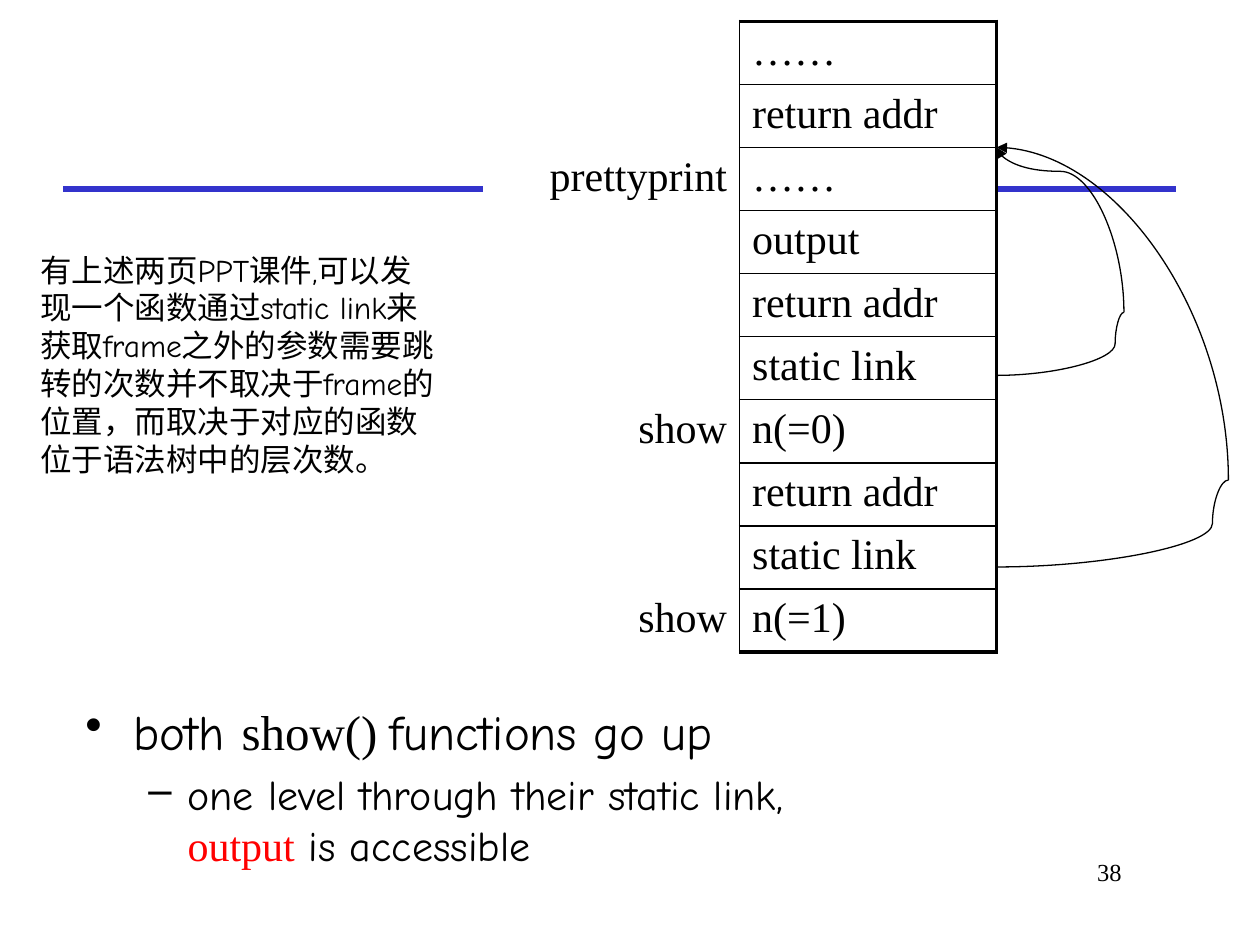
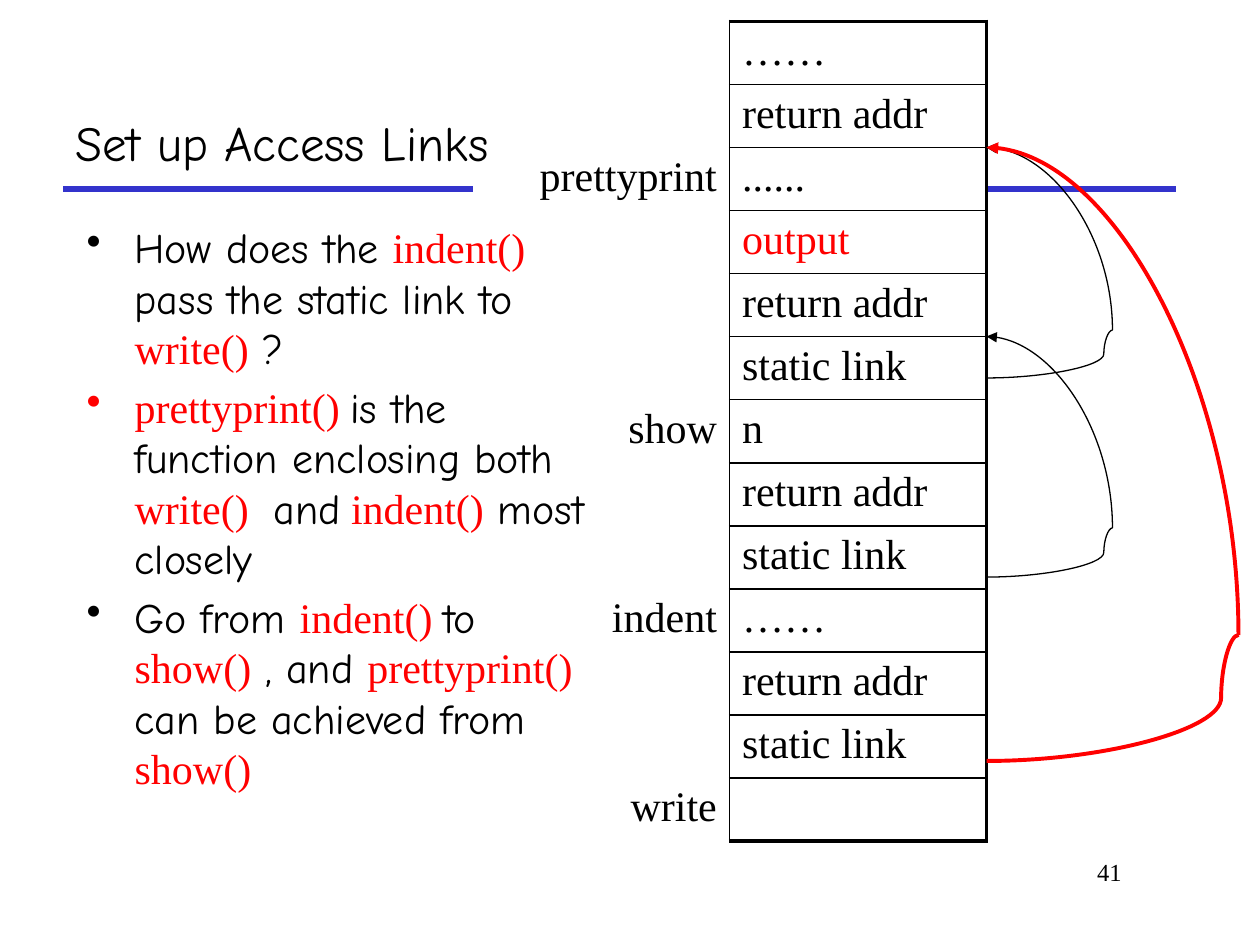
"""Build two slides on stack frames and their static (access) links."""
from dataclasses import dataclass

from lxml import etree
from pptx import Presentation, util as u
from pptx.dml.color import RGBColor
from pptx.enum import shapes, text
from pptx.oxml.ns import qn


@dataclass(frozen=True)
class Theme:
    ink: str = "000000"
    accent: str = "FF0000"
    rule: str = "3333CC"
    paper: str = "FFFFFF"
    prose: str = "Comic Neue"
    code: str = "Times New Roman"
    heading: float = 28
    body: float = 24
    note: float = 18
    number: float = 14
    thin: float = 0.75
    inner: float = 1
    thick: float = 2.25
    band: float = 3


THEME = Theme()
SLIDE_W, SLIDE_H = 10, 7.5
STACK_TOP, ROW_H, COLUMN_W = 0.17, 0.47, 2.04
STYLES = {
    "prose": (THEME.prose, THEME.ink),
    "code": (THEME.code, THEME.ink),
    "hot": (THEME.code, THEME.accent),
}
BULLETS = [("•", 0.38, 0.38), ("–", 0.81, 0.31)]
STUB_BEND = 0.931

SLIDES = [
    {
        "number": "38",
        "stack_left": 3.83,
        "stack": [
            ("", "……"), ("", "return addr"), ("prettyprint", "……"), ("", "output"),
            ("", "return addr"), ("", "static link"), ("show", "n(=0)"),
            ("", "return addr"), ("", "static link"), ("show", "n(=1)"),
        ],
        "hot_entries": (),
        "links": [
            {"source": 4.5, "elbow": (9.75, 3.81), "target": 1.17},
            {"source": 2.98, "elbow": (8.92, 2.48), "target": 1.17, "bend": 0.855},
        ],
        "texts": [
            {"box": (0.58, 5.52, 6.58, 1.48), "paragraphs": [
                {"level": 0, "size": THEME.heading, "runs": [
                    ("both ", "prose"), ("show() ", "code"), ("functions go up", "prose")]},
                {"level": 1, "runs": [
                    ("one level through their static link, ", "prose"), ("output", "hot"),
                    (" is accessible", "prose")]},
            ]},
            {"box": (0.22, 1.94, 3.33, 2.22), "paragraphs": [
                {"size": THEME.note, "runs": [(
                    "有上述两页PPT课件,可以发现一个函数通过static link来获取frame之外的参数"
                    "需要跳转的次数并不取决于frame的位置，而取决于对应的函数位于语法树中的层次数。",
                    "prose")]},
            ]},
        ],
    },
    {
        "number": "41",
        "stack_left": 3.75,
        "stack": [
            ("", "……"), ("", "return addr"), ("prettyprint", "......"), ("", "output"),
            ("", "return addr"), ("", "static link"), ("show", "n"),
            ("", "return addr"), ("", "static link"), ("indent", "……"),
            ("", "return addr"), ("", "static link"), ("write", ""),
        ],
        "hot_entries": ("output",),
        "links": [
            {"source": 3, "elbow": (8.83, 2.62), "target": 1.17},
            {"source": 4.58, "elbow": (8.83, 4.19), "target": 2.67},
            {"source": 6.04, "elbow": (9.83, 5.04), "target": 1.17,
             "color": THEME.accent, "width": THEME.thick},
        ],
        "texts": [
            {"box": (0.59, 1.71, 4.16, 4.88), "paragraphs": [
                {"level": 0, "runs": [
                    ("How does the ", "prose"), ("indent()", "hot"),
                    (" pass the static link to ", "prose"), ("write()", "hot"), (" ?", "prose")]},
                {"level": 0, "runs": [
                    ("prettyprint() ", "hot"), ("is the function enclosing both ", "prose"),
                    ("write() ", "hot"), (" and", "prose"), (" indent()", "hot"),
                    (" most closely", "prose")]},
                {"level": 0, "runs": [
                    ("Go from ", "prose"), ("indent() ", "hot"), ("to ", "prose"),
                    ("show()", "hot"), (" , and ", "prose"), ("prettyprint() ", "hot"),
                    ("can be achieved from ", "prose"), ("show()", "hot")]},
            ]},
            {"box": (0.5, 0.83, 8.83, 0.58), "anchor": text.MSO_ANCHOR.BOTTOM, "paragraphs": [
                {"size": THEME.heading, "runs": [("Set up Access Links", "prose")]},
            ]},
        ],
    },
]


def write(paragraph, runs, size=THEME.body, align=None, level=None, gap=0):
    """Fill a paragraph with styled runs, bulleted when a level is given."""
    if level is not None:
        mark, margin, hang = BULLETS[level]
        props = paragraph._p.get_or_add_pPr()
        props.set("marL", str(u.Inches(margin)))
        props.set("indent", str(-u.Inches(hang)))
        etree.SubElement(props, qn("a:buChar")).set("char", mark)
        paragraph.level = level
    if gap:
        paragraph.space_before = u.Pt(gap)
    paragraph.alignment = align
    for words, style in runs:
        run = paragraph.add_run()
        run.text = words
        face, color = STYLES[style]
        run.font.name, run.font.size = face, u.Pt(size)
        run.font.color.rgb = RGBColor.from_string(color)


def add_text(slide, box, paragraphs, anchor=text.MSO_ANCHOR.TOP):
    """Place a wrapping text box holding the given paragraphs."""
    frame = slide.shapes.add_textbox(*map(u.Inches, box)).text_frame
    frame.word_wrap, frame.vertical_anchor = True, anchor
    for index, content in enumerate(paragraphs):
        paragraph = frame.add_paragraph() if index else frame.paragraphs[0]
        write(paragraph, gap=0.2 * THEME.body if index else 0, **content)


def add_line(slide, kind, begin, end, color, width):
    """Draw a shadowless connector between two points."""
    points = map(u.Inches, (*begin, *end))
    line = slide.shapes.add_connector(kind, *points)
    line.line.color.rgb = RGBColor.from_string(color)
    line.line.width = u.Pt(width)
    etree.SubElement(line._element.spPr, qn("a:effectLst"))
    return line


def set_bend(line, share):
    """Set where a curved connector turns, as a share of its length."""
    guides = line._element.spPr.find(qn("a:prstGeom")).get_or_add_avLst()
    guide = etree.SubElement(guides, qn("a:gd"))
    guide.set("name", "adj1")
    guide.set("fmla", f"val {round(share * 100000)}")


def add_link(slide, right, source, elbow, target, bend=None, color=THEME.ink, width=THEME.thin):
    """Draw a static link: a stub out to the elbow, then an arrowed arc back to the stack."""
    curve = shapes.MSO_CONNECTOR.CURVE
    elbow_x, elbow_y = elbow
    center_x, center_y = (right + elbow_x) / 2, (target + elbow_y) / 2
    half_run, half_rise = (elbow_y - target) / 2, (elbow_x - right) / 2
    left, far = center_x - half_run, center_x + half_run
    top, bottom = center_y - half_rise, center_y + half_rise
    if bend:
        arc = add_line(slide, curve, (left, bottom), (far, top), color, width)
        set_bend(arc, bend)
    else:
        arc = add_line(slide, curve, (far, top), (left, bottom), color, width)
        arc._element.spPr.find(qn("a:prstGeom")).set("prst", "curvedConnector2")
    turn = 270 if bend else 90
    arc._element.spPr.find(qn("a:xfrm")).set("rot", str(turn * 60000))
    etree.SubElement(arc.line._get_or_add_ln(), qn("a:tailEnd")).set("type", "triangle")
    stub = add_line(slide, curve, (right, source), elbow, color, width)
    set_bend(stub, STUB_BEND)


def set_borders(cell, widths):
    """Give a cell its left, right, top and bottom borders; zero means none."""
    props = cell._tc.get_or_add_tcPr()
    for index, (side, width) in enumerate(zip("LRTB", widths)):
        edge = etree.Element(qn(f"a:ln{side}"), w=str(u.Pt(width)))
        if width:
            fill = etree.SubElement(edge, qn("a:solidFill"))
            etree.SubElement(fill, qn("a:srgbClr")).set("val", THEME.ink)
        else:
            etree.SubElement(edge, qn("a:noFill"))
        props.insert(index, edge)


def add_stack(slide, left, stack, hot_entries):
    """Draw the stack as a table: frame names on the left, entries on the right."""
    last = len(stack) - 1
    box = map(u.Inches, (left, STACK_TOP, 2 * COLUMN_W, ROW_H * len(stack)))
    table = slide.shapes.add_table(len(stack), 2, *box).table
    table.first_row = table.horz_banding = False
    for row, (owner, entry) in enumerate(stack):
        top = THEME.inner if row else THEME.thick
        bottom = THEME.thick if row == last else THEME.inner
        columns = [
            (owner, "code", text.PP_ALIGN.RIGHT, (0, THEME.inner, 0, 0)),
            (entry, "hot" if entry in hot_entries else "code", text.PP_ALIGN.LEFT,
             (THEME.inner, THEME.thick, top, bottom)),
        ]
        for column, (words, style, align, borders) in enumerate(columns):
            cell = table.cell(row, column)
            cell.fill.solid()
            cell.fill.fore_color.rgb = RGBColor.from_string(THEME.paper)
            set_borders(cell, borders)
            if words:
                write(cell.text_frame.paragraphs[0], [(words, style)], align=align)


def add_slide(deck, content):
    """Build one slide from its content."""
    slide = deck.slides.add_slide(deck.slide_layouts[6])
    add_line(slide, shapes.MSO_CONNECTOR.STRAIGHT, (0.5, SLIDE_H / 5), (9.33, SLIDE_H / 5),
             THEME.rule, THEME.band)
    add_text(slide, (6.92, 6.75, 2.08, 0.5), [
        {"runs": [(content["number"], "code")], "size": THEME.number,
         "align": text.PP_ALIGN.RIGHT}])
    left = content["stack_left"]
    add_stack(slide, left, content["stack"], content["hot_entries"])
    for link in content["links"]:
        add_link(slide, left + 2 * COLUMN_W, **link)
    for block in content["texts"]:
        add_text(slide, **block)


def main():
    """Create the deck and save it."""
    deck = Presentation()
    deck.slide_width, deck.slide_height = u.Inches(SLIDE_W), u.Inches(SLIDE_H)
    for content in SLIDES:
        add_slide(deck, content)
    deck.save("out.pptx")


if __name__ == "__main__":
    main()
